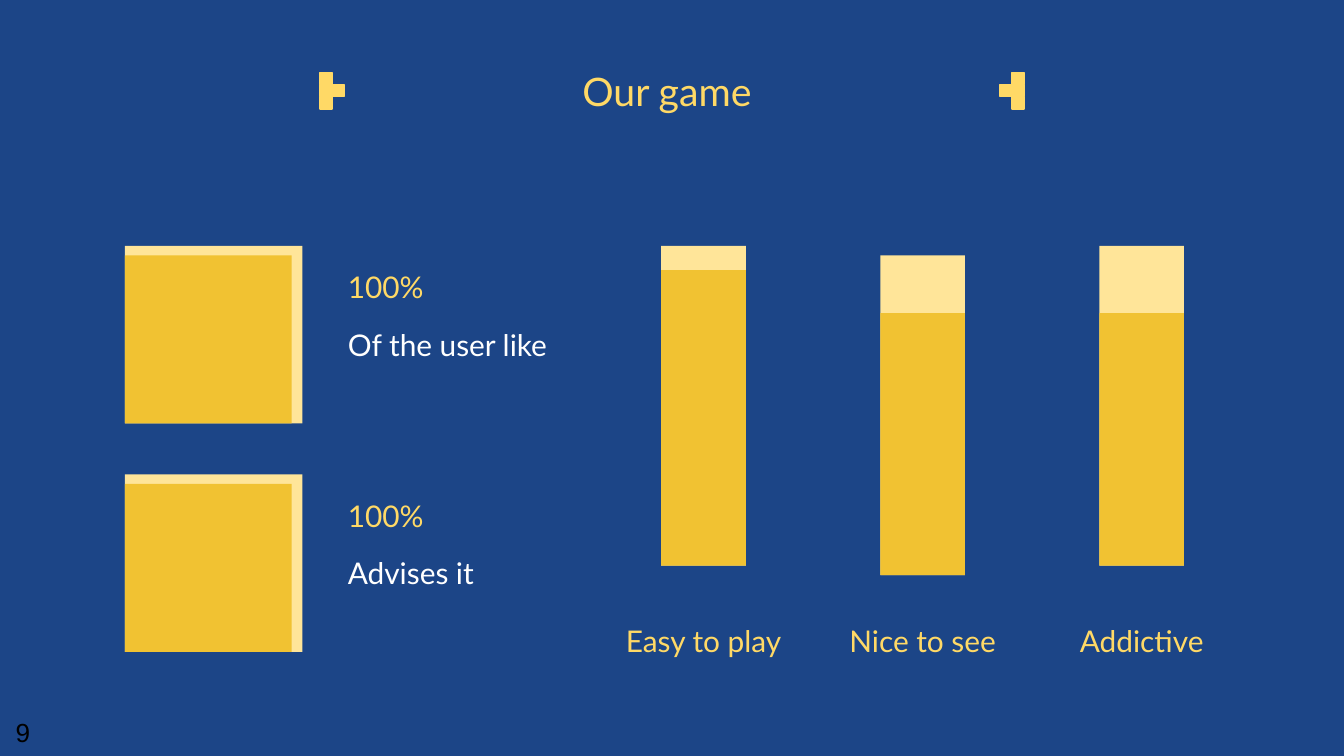
from dataclasses import dataclass

import pptx
import pptx.dml.color
import pptx.enum.shapes
import pptx.enum.text
import pptx.util

Inches = pptx.util.Inches
Align = pptx.enum.text.PP_ALIGN
Anchor = pptx.enum.text.MSO_ANCHOR


@dataclass(frozen=True)
class Theme:
    background: str = "1C4587"
    accent: str = "FFD966"
    track: str = "FFE599"
    level: str = "F1C232"
    light: str = "FFFFFF"
    dark: str = "000000"
    font: str = "Lato"
    number_font: str = "Arial"
    title_size: int = 21
    text_size: int = 16
    number_size: int = 14


THEME = Theme()


def rgb(value):
    return pptx.dml.color.RGBColor.from_string(value)


def write_text(shape, text, size=THEME.text_size, color=THEME.accent, font=THEME.font,
               align=Align.LEFT, anchor=Anchor.TOP, inset=0.1):
    frame = shape.text_frame
    frame.word_wrap = True
    frame.auto_size = pptx.enum.text.MSO_AUTO_SIZE.NONE
    frame.vertical_anchor = anchor
    frame.margin_left = frame.margin_right = Inches(0.1)
    frame.margin_top = frame.margin_bottom = Inches(inset)
    paragraph = frame.paragraphs[0]
    paragraph.alignment = align
    paragraph.line_spacing = 1.0
    run = paragraph.add_run()
    run.text = text
    run.font.size = pptx.util.Pt(size)
    run.font.name = font
    run.font.color.rgb = rgb(color)


def add_text(slide, box, text, **text_format):
    shape = slide.shapes.add_textbox(*map(Inches, box))
    write_text(shape, text, **text_format)


def add_rectangle(shapes, box, color, outlined=False):
    shape = shapes.add_shape(pptx.enum.shapes.MSO_SHAPE.RECTANGLE, *map(Inches, box))
    shape.shadow.inherit = False
    shape.fill.solid()
    shape.fill.fore_color.rgb = rgb(color)
    if outlined:
        shape.line.color.rgb = rgb(color)
        shape.line.width = pptx.util.Pt(0.75)
    else:
        shape.line.fill.background()


def add_title(slide, box, text):
    title = slide.shapes.title
    title.left, title.top, title.width, title.height = map(Inches, box)
    write_text(title, text, size=THEME.title_size, align=Align.CENTER, anchor=Anchor.BOTTOM)


def add_pixel_bracket(slide, left, top, direction):
    pixel = 0.09
    group = slide.shapes.add_group_shape()
    for column, row in [(0, 0), (0, 1), (0, 2), (direction, 1)]:
        box = (left + column * pixel, top + row * pixel, pixel, pixel)
        add_rectangle(group.shapes, box, THEME.accent, outlined=True)


def add_gauge(slide, box, level_width, level_height):
    left, top, width, height = box
    group = slide.shapes.add_group_shape()
    add_rectangle(group.shapes, box, THEME.track)
    level_box = (left, top + height - level_height, level_width, level_height)
    add_rectangle(group.shapes, level_box, THEME.level)


def add_statistic(slide, left, top, value, caption):
    side, text_left, text_width = 1.32, left + 1.56, 1.79
    add_gauge(slide, (left, top, side, side), 1.24, 1.25)
    add_text(slide, (text_left, top + 0.07, text_width, 0.43), value)
    add_text(slide, (text_left, top + 0.5, text_width, 0.76), caption, color=THEME.light)


def add_rating(slide, left, top, level_height, label):
    bar_width, label_width = 0.63, 1.79
    add_gauge(slide, (left, top, bar_width, 2.38), bar_width, level_height)
    label_left = left + (bar_width - label_width) / 2
    add_text(slide, (label_left, 4.53, label_width, 0.43), label, align=Align.CENTER)


def build_slide(presentation):
    slide = presentation.slides.add_slide(presentation.slide_layouts.get_by_name("Title Only"))
    slide.background.fill.solid()
    slide.background.fill.fore_color.rgb = rgb(THEME.background)

    add_title(slide, (0.34, 0.32, 9.32, 0.63), "Our game ")
    add_pixel_bracket(slide, 2.38, 0.54, 1)
    add_pixel_bracket(slide, 7.53, 0.54, -1)

    for index, caption in enumerate(["Of the user like", "Advises it"]):
        add_statistic(slide, 0.93, 1.83 + index * 1.7, "100%", caption)

    ratings = [("Easy to play", 1.83, 2.2), ("Nice to see", 1.9, 1.95), ("Addictive", 1.83, 1.88)]
    for index, (label, top, level_height) in enumerate(ratings):
        add_rating(slide, 4.92 + index * 1.63, top, level_height, label)

    add_text(slide, (-0.1, 5.28, 0.54, 0.35), "9", size=THEME.number_size, color=THEME.dark,
             font=THEME.number_font, align=Align.CENTER, inset=0.05)


def main():
    presentation = pptx.Presentation()
    presentation.slide_width = Inches(10)
    presentation.slide_height = presentation.slide_width * 9 // 16
    build_slide(presentation)
    presentation.save("out.pptx")


if __name__ == "__main__":
    main()
